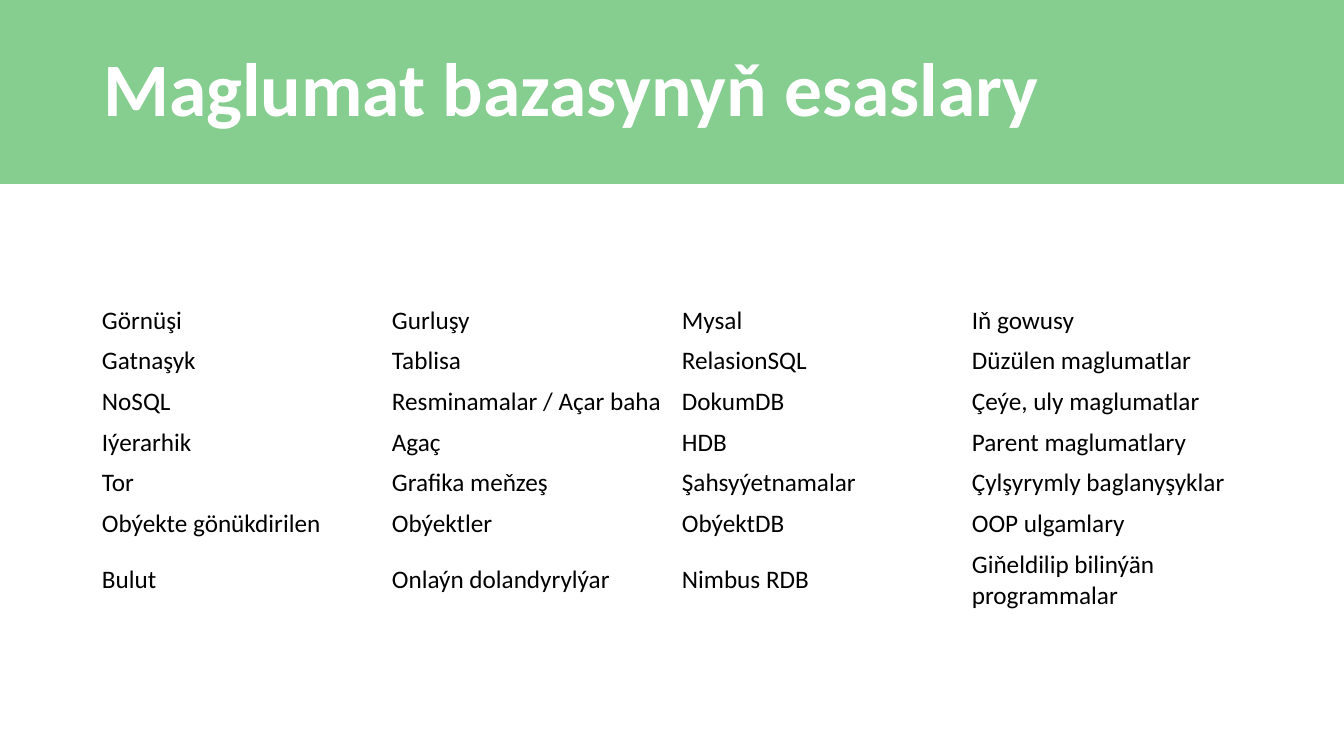
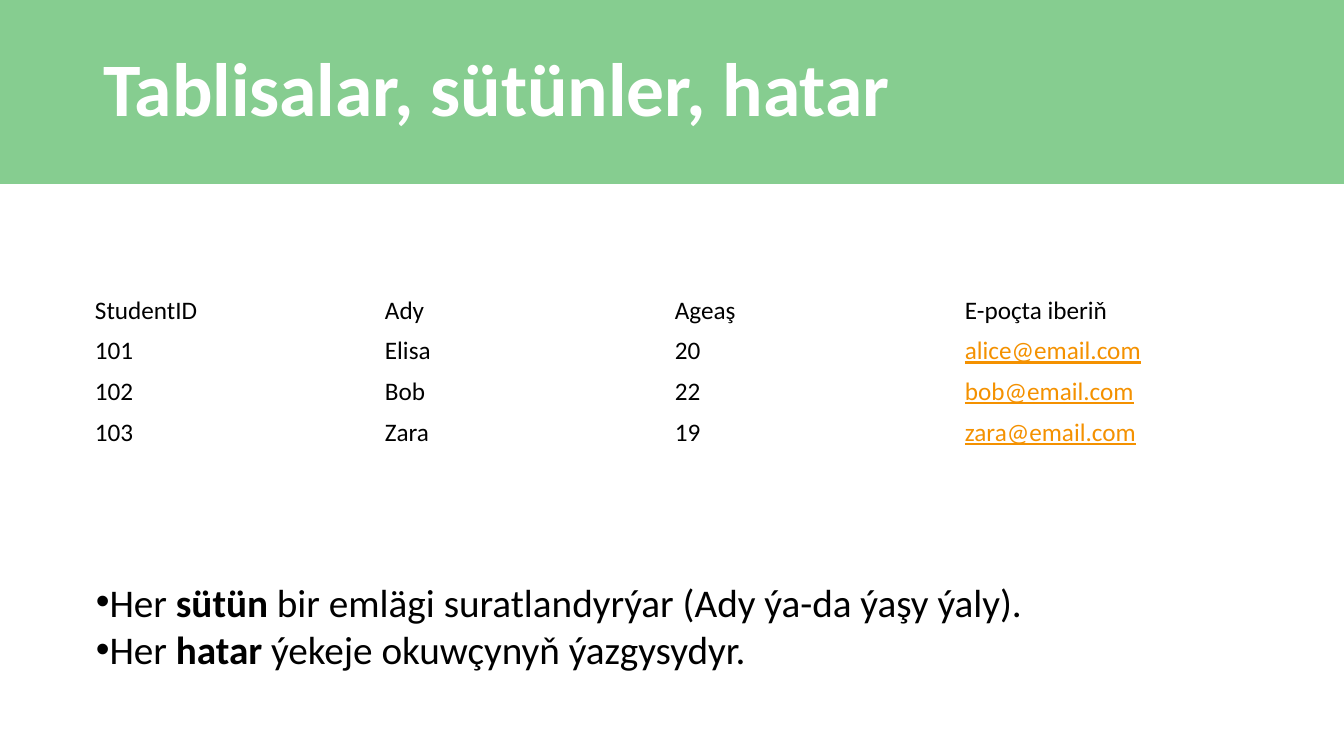
from lxml.etree import SubElement
from pptx import Presentation
from pptx.dml.color import RGBColor
from pptx.enum.shapes import MSO_SHAPE
from pptx.enum.text import MSO_ANCHOR, MSO_AUTO_SIZE as FIT, PP_ALIGN
from pptx.oxml.ns import qn
from pptx.util import Emu, Pt

WIDTH, HEIGHT = 1344, 756
EMU_PER_PX = 914400 / 100.8


def px(*lengths):
    return [Emu(round(n * EMU_PER_PX)) for n in lengths]


def rgb(code):
    return RGBColor.from_string(code)


class Deck:
    # Shared style
    GREEN, LINK = "86CD90", "F49100"
    FONT = "Calibri"
    TITLE = {"size": 54, "bold": True, "color": "FFFFFF"}
    CELL = {"size": 18, "bold": False, "color": "000000"}
    EMAIL = CELL | {"color": LINK, "underline": True}
    BODY = {"size": 28, "bold": False, "color": "000000"}
    STRONG = BODY | {"bold": True}
    COLUMN, ROW = 290, 40

    def __init__(self):
        self.prs = Presentation()
        self.prs.slide_width, self.prs.slide_height = px(WIDTH, HEIGHT)
        self.s = None

    def run(self, p, text, style):
        r = p.add_run()
        r.text = text
        r.font.name = self.FONT
        for key, value in style.items():
            if key == "color":
                r.font.color.rgb = rgb(value)
            else:
                setattr(r.font, key, Pt(value) if key == "size" else value)

    def slide(self, title):
        self.s = self.prs.slides.add_slide(self.prs.slide_layouts[5])
        self.band()
        self.title(title)

    def band(self):
        sp = self.s.shapes.add_shape(MSO_SHAPE.RECTANGLE, *px(0, 0, WIDTH, 184))
        sp.shadow.inherit = False
        sp.fill.solid()
        sp.fill.fore_color.rgb = rgb(self.GREEN)
        sp.line.fill.background()
        # Send behind the title
        self.s.shapes._spTree.insert(2, sp._element)

    def title(self, text):
        sp = self.s.shapes.title
        sp.left, sp.top, sp.width, sp.height = px(93, 15, 1159, 154)
        tf = sp.text_frame
        frame = {"vertical_anchor": MSO_ANCHOR.MIDDLE, "word_wrap": True,
                 "auto_size": FIT.NONE}
        for key, value in frame.items():
            setattr(tf, key, value)
        p = tf.paragraphs[0]
        p.alignment, p.line_spacing = PP_ALIGN.LEFT, 0.9
        self.run(p, text, self.TITLE)

    def table(self, left, top, rows):
        n_rows, n_cols = len(rows), len(rows[0])
        box = px(left, top, n_cols * self.COLUMN, n_rows * self.ROW)
        tbl = self.s.shapes.add_table(n_rows, n_cols, *box).table
        tbl.first_row = tbl.horz_banding = False
        side, edge = px(9, 5)
        layout = {"margin_left": side, "margin_right": side, "margin_top": edge,
                  "margin_bottom": edge, "vertical_anchor": MSO_ANCHOR.MIDDLE}
        for i, row in enumerate(rows):
            for j, text in enumerate(row):
                cell = tbl.cell(i, j)
                cell.fill.background()
                for key, value in layout.items():
                    setattr(cell, key, value)
                style = self.EMAIL if "@" in text else self.CELL
                self.run(cell.text_frame.paragraphs[0], text, style)

    def bullets(self, left, top, width, height, items):
        tf = self.s.shapes.add_textbox(*px(left, top, width, height)).text_frame
        tf.word_wrap, tf.auto_size = True, FIT.SHAPE_TO_FIT_TEXT
        for i, (start, term, rest) in enumerate(items):
            p = tf.add_paragraph() if i else tf.paragraphs[0]
            pPr = p._p.get_or_add_pPr()
            SubElement(pPr, qn("a:buFont"), typeface="Arial")
            SubElement(pPr, qn("a:buChar"), char="•")
            self.run(p, start, self.BODY)
            self.run(p, term, self.STRONG)
            self.run(p, rest, self.BODY)


def main():
    deck = Deck()

    # Database types
    deck.slide("Maglumat bazasynyň esaslary")
    deck.table(93, 300, [
        ("Görnüşi", "Gurluşy", "Mysal", "Iň gowusy"),
        ("Gatnaşyk", "Tablisa", "RelasionSQL", "Düzülen maglumatlar"),
        ("NoSQL", "Resminamalar / Açar baha", "DokumDB", "Çeýe, uly maglumatlar"),
        ("Iýerarhik", "Agaç", "HDB", "Parent maglumatlary"),
        ("Tor", "Grafika meňzeş", "Şahsyýetnamalar", "Çylşyrymly baglanyşyklar"),
        ("Obýekte gönükdirilen", "Obýektler", "ObýektDB", "OOP ulgamlary"),
        ("Bulut", "Onlaýn dolandyrylýar", "Nimbus RDB",
         "Giňeldilip bilinýän programmalar"),
    ])

    # Tables, columns and rows
    deck.slide("Tablisalar, sütünler, hatar")
    deck.table(86, 290, [
        ("StudentID", "Ady", "Ageaş", "E-poçta iberiň"),
        ("101", "Elisa", "20", "alice@email.com"),
        ("102", "Bob", "22", "bob@email.com"),
        ("103", "Zara", "19", "zara@email.com"),
    ])
    deck.bullets(86, 573, 1006, 105, [
        ("Her ", "sütün ", "bir emlägi suratlandyrýar (Ady ýa-da ýaşy ýaly)."),
        ("Her ", "hatar ", "ýekeje okuwçynyň ýazgysydyr."),
    ])

    deck.prs.save("out.pptx")


if __name__ == "__main__":
    main()
